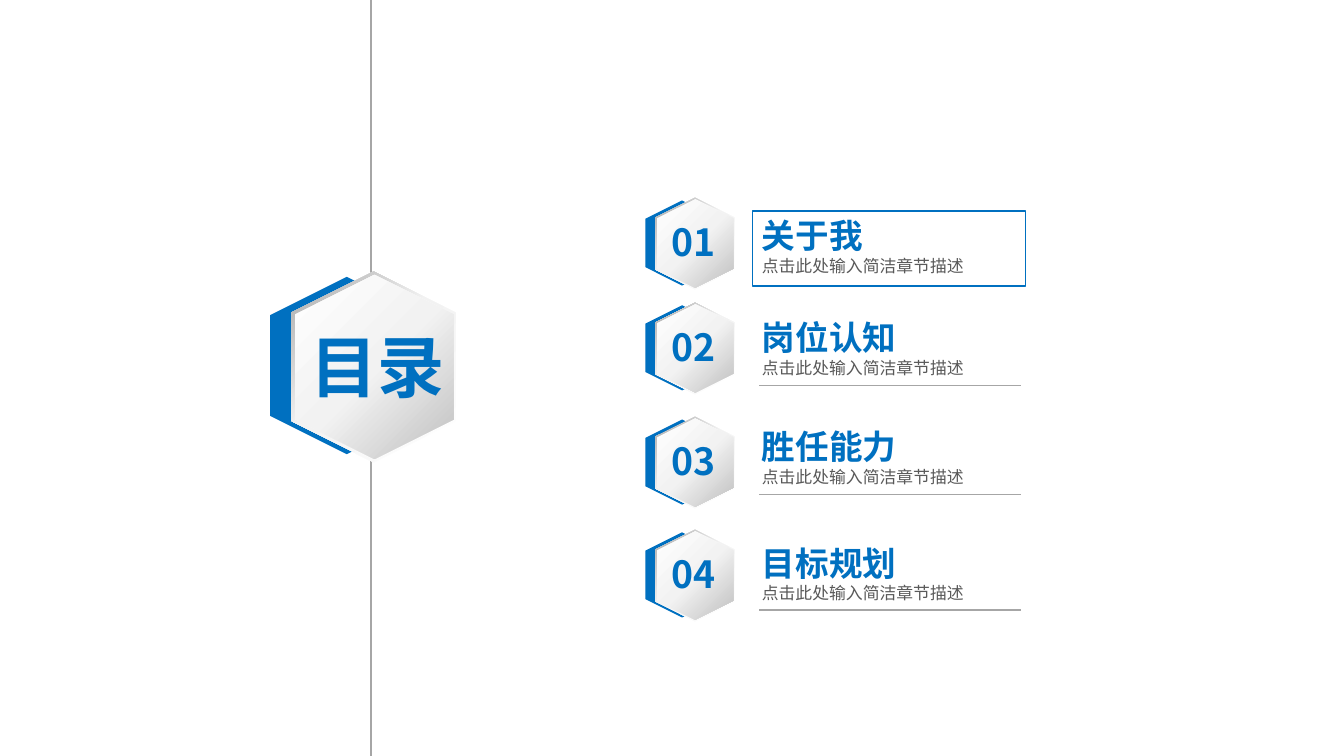
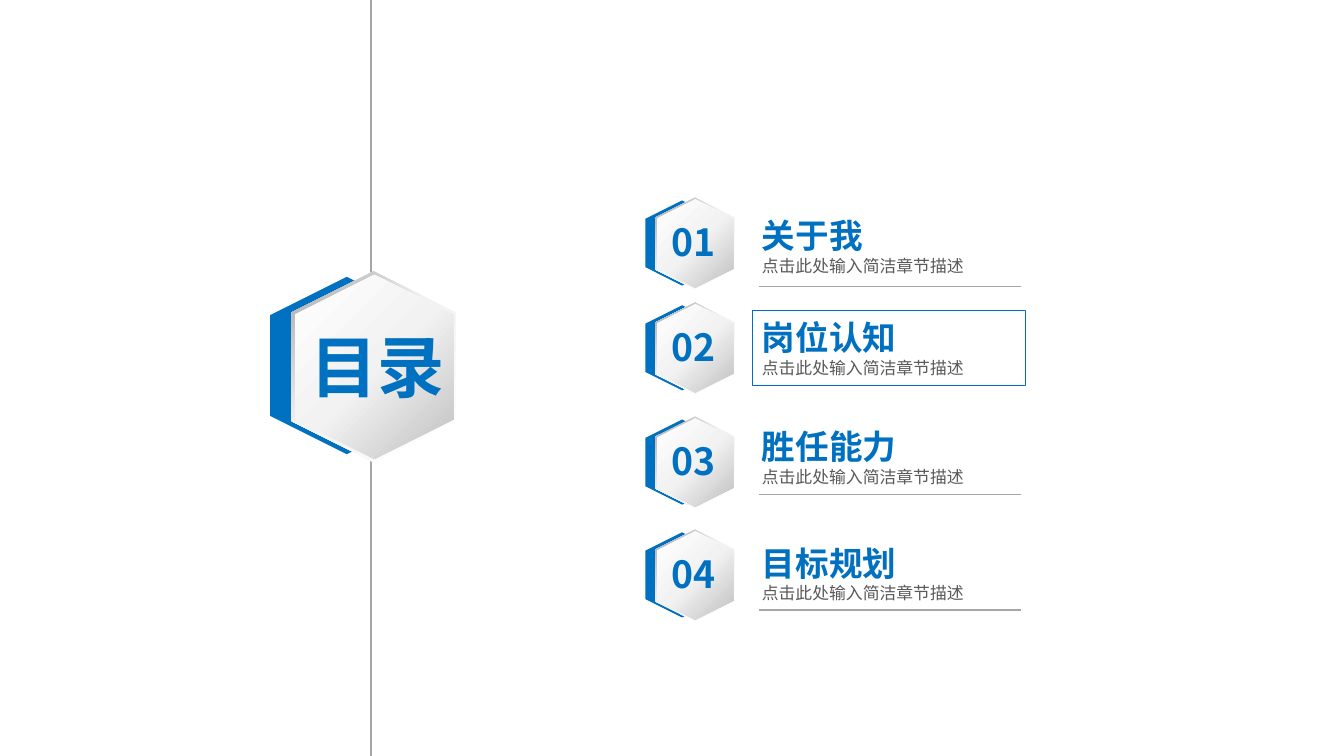
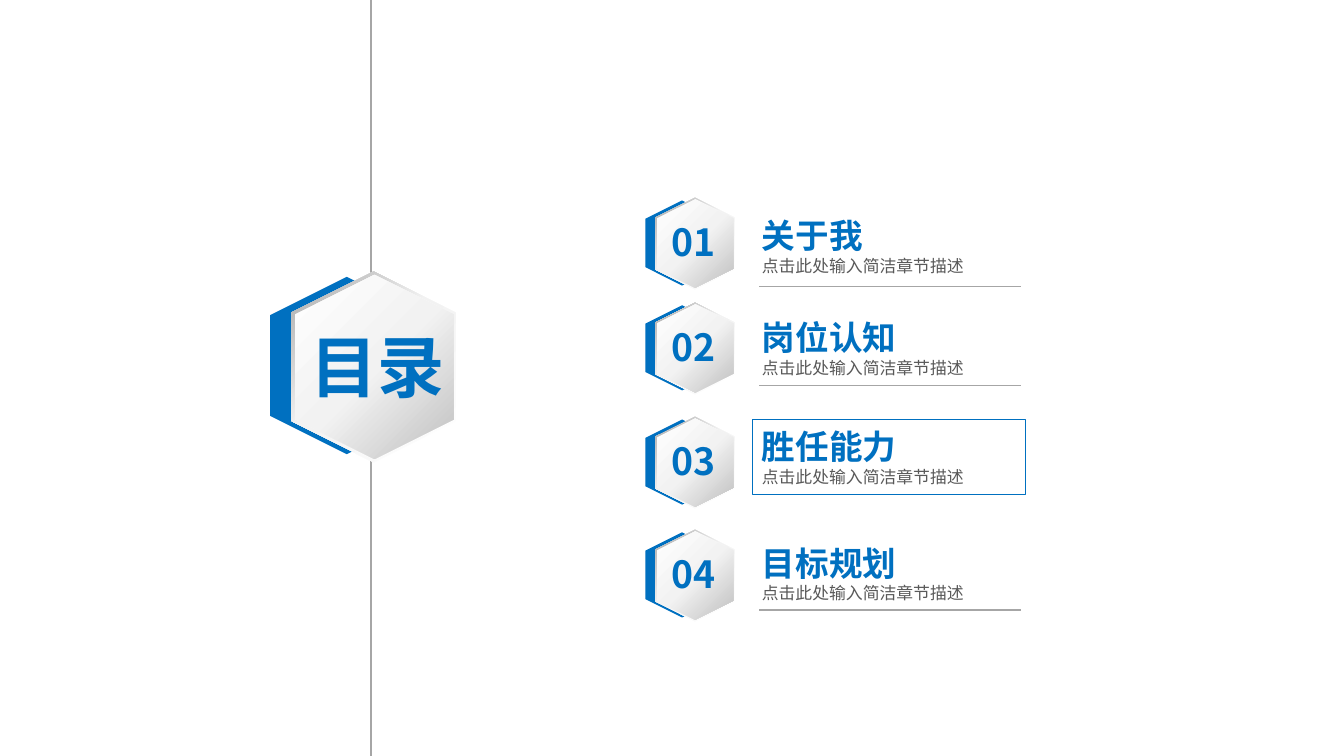
from lxml import etree
from pptx import Presentation
from pptx.dml.color import RGBColor
from pptx.enum import shapes, text
from pptx.oxml import parse_xml
from pptx.oxml.ns import nsdecls, qn
from pptx.util import Inches, Pt

# Shared style
COLORS = {
    "blue": "0070C0",
    "rule": "A6A6A6",
    "body": "595959",
    "white": "FFFFFF",
    "pale": "F2F2F2",
    "silver": "BFBFBF",
}
FONT = "Noto Sans CJK SC"
WIDTH = 10
HEIGHT = WIDTH * 9 / 16

RIM = [(0, "white"), (55, "pale"), (100, "rule")]
FACE = [(0, "white"), (51, "pale"), (100, "silver")]

# Chapters: name, top of its text, height of its rule, top of its badge
CHAPTERS = [
    ("关于我", 1.55, 2.13, 1.52),
    ("岗位认知", 2.31, 2.87, 2.3),
    ("胜任能力", 3.12, 3.68, 3.15),
    ("目标规划", 3.99, 4.54, 3.99),
]
DESCRIPTION = "点击此处输入简洁章节描述"
HIGHLIGHTED = [0, 1, 2]
BADGE_LEFT, BADGE_SCALE = 4.83, 0.48
HIGHLIGHT_HEIGHT = 0.56


def rgb(color):
    return RGBColor.from_string(COLORS[color])


def box(left, top, width, height):
    return [Inches(value) for value in (left, top, width, height)]


# Text
def add_run(paragraph, wording, size, color="blue", bold=True):
    run = paragraph.add_run()
    run.text = wording
    font = run.font
    font.size, font.bold, font.name = Pt(size), bold, FONT
    font.color.rgb = rgb(color)
    etree.SubElement(run._r.get_or_add_rPr(), qn("a:ea"), typeface=FONT)


def fit_frame(frame):
    frame.word_wrap = False
    frame.auto_size = text.MSO_AUTO_SIZE.SHAPE_TO_FIT_TEXT
    frame.vertical_anchor = text.MSO_ANCHOR.TOP
    frame.paragraphs[0].alignment = text.PP_ALIGN.LEFT
    return frame


def add_label(parent, left, top, width, height):
    label = parent.shapes.add_textbox(*box(left, top, width, height))
    return fit_frame(label.text_frame)


def add_title(slide, wording):
    title = slide.shapes.title
    title.left, title.top, title.width, title.height = box(2.21, 2.37, 1.21, 0.71)
    add_run(fit_frame(title.text_frame).paragraphs[0], wording, 36)
    # Bring the title in front of its emblem
    slide.shapes.element.append(title.element)


# Lines and hexagons
def add_rule(slide, x1, y1, x2, y2):
    rule = slide.shapes.add_connector(
        shapes.MSO_CONNECTOR.STRAIGHT, *box(x1, y1, x2, y2))
    rule.line.color.rgb = rgb("rule")
    rule.line.width = Pt(0.75)
    etree.SubElement(rule.element.spPr, qn("a:effectLst"))


def add_hexagon(group, left, top, width, height):
    hexagon = group.shapes.add_shape(
        shapes.MSO_SHAPE.HEXAGON, *box(left, top, width, height))
    hexagon.rotation = 90
    hexagon.shadow.inherit = False
    hexagon.line.fill.background()
    return hexagon


def fill_gradient(shape, stops, angle):
    stop_xml = "".join(
        f'<a:gs pos="{position * 1000}"><a:srgbClr val="{COLORS[color]}"/></a:gs>'
        for position, color in stops)
    gradient = parse_xml(
        f'<a:gradFill {nsdecls("a")} rotWithShape="1"><a:gsLst>{stop_xml}</a:gsLst>'
        f'<a:lin ang="{angle * 60000}" scaled="0"/></a:gradFill>')
    shape.element.spPr.find(qn("a:prstGeom")).addnext(gradient)


def add_emblem(slide, left, top, scale=1):
    """Blue hexagon behind a silver one; left and top are those of the rim."""
    group = slide.shapes.add_group_shape()

    def layer(dx, dy, width, height):
        return add_hexagon(group, left + dx * scale, top + dy * scale,
                           width * scale, height * scale)

    backing = layer(-0.15, 0.03, 1.32, 1.14)
    backing.fill.solid()
    backing.fill.fore_color.rgb = rgb("blue")
    fill_gradient(layer(0, 0, 1.42, 1.22), RIM, 135)
    fill_gradient(layer(0.03, 0.02, 1.37, 1.18), FACE, 315)
    return group


# Chapter parts
def add_chapter_text(slide, name, top):
    frame = add_label(slide, 5.57, top, 1.72, 0.56)
    add_run(frame.paragraphs[0], name, 18)
    add_run(frame.add_paragraph(), DESCRIPTION, 9, "body", False)


def add_badge(slide, number, top):
    badge = add_emblem(slide, BADGE_LEFT, top, BADGE_SCALE)
    frame = add_label(badge, BADGE_LEFT + 0.07, top + 0.06, 0.55, 0.44)
    add_run(frame.paragraphs[0], f"{number:02}", 20)


def add_highlight(slide, rule_y):
    """Outline a chapter; its lower edge lies on the chapter's rule."""
    highlight = slide.shapes.add_shape(
        shapes.MSO_SHAPE.RECTANGLE,
        *box(5.6, rule_y - HIGHLIGHT_HEIGHT, 2.03, HIGHLIGHT_HEIGHT))
    highlight.shadow.inherit = False
    highlight.fill.background()
    highlight.line.color.rgb = rgb("blue")
    highlight.line.width = Pt(0.75)


def build_contents(deck, current):
    slide = deck.slides.add_slide(deck.slide_layouts[5])
    add_rule(slide, 2.76, 0, 2.76, HEIGHT)
    add_emblem(slide, 2.07, 2.12)
    add_title(slide, "目录")
    for name, text_top, _, _ in CHAPTERS:
        add_chapter_text(slide, name, text_top)
    for _, _, rule_y, _ in CHAPTERS:
        add_rule(slide, 5.65, rule_y, 7.6, rule_y)
    for number, (_, _, _, badge_top) in enumerate(CHAPTERS, 1):
        add_badge(slide, number, badge_top)
    add_highlight(slide, CHAPTERS[current][2])


def main():
    deck = Presentation()
    deck.slide_width, deck.slide_height = Inches(WIDTH), Inches(HEIGHT)
    for current in HIGHLIGHTED:
        build_contents(deck, current)
    deck.save("out.pptx")


if __name__ == "__main__":
    main()
